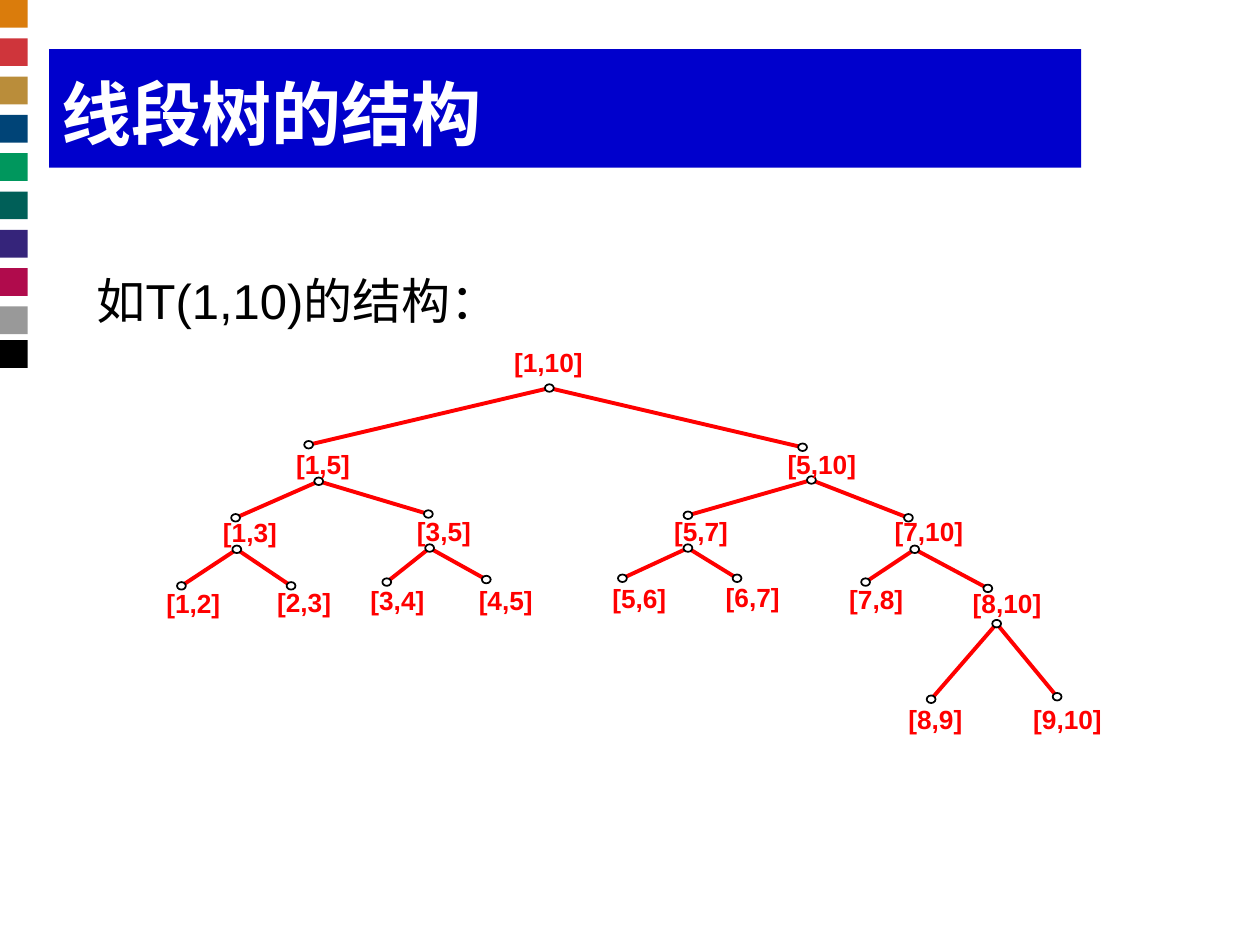
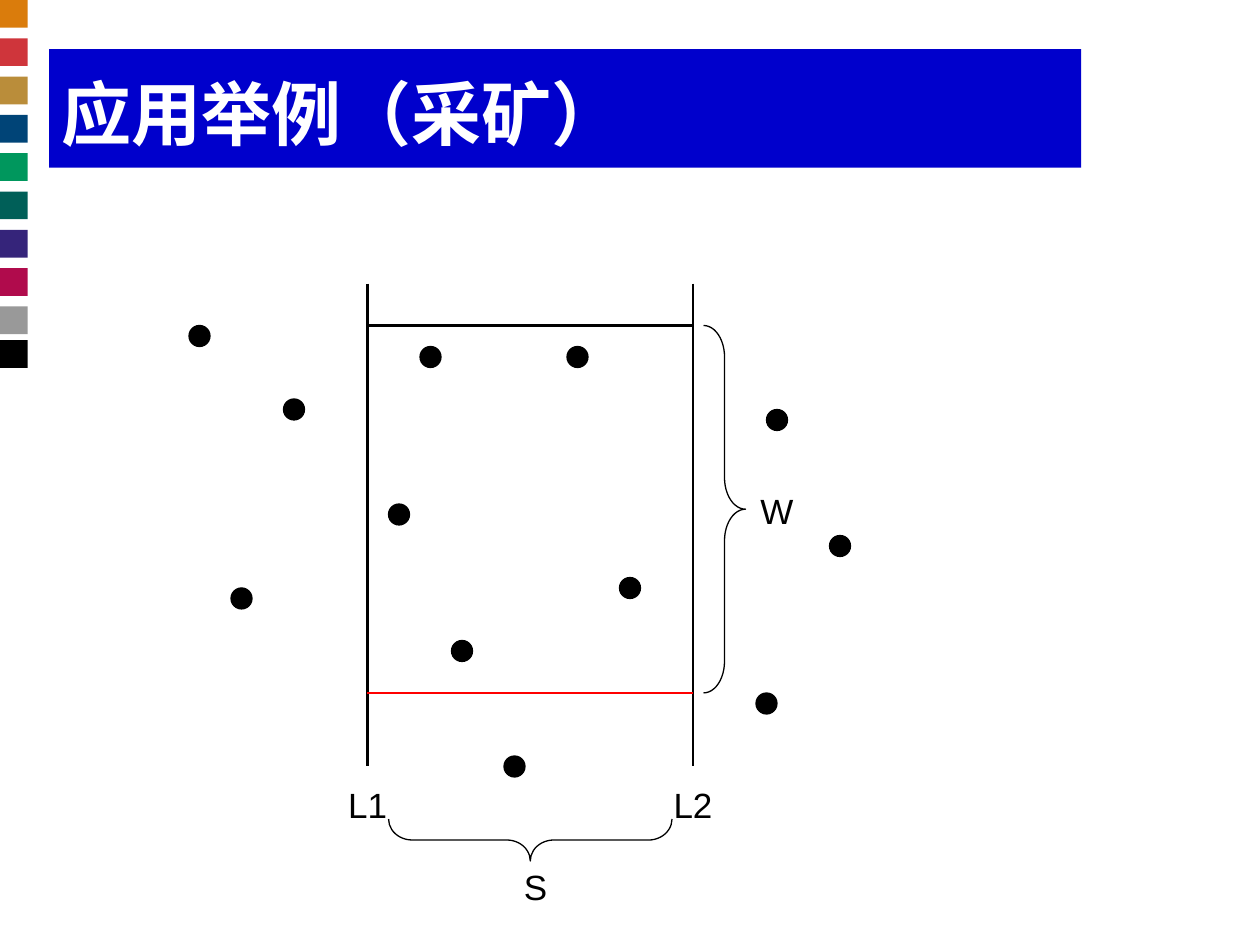
import pptx
import pptx.util
import pptx.dml.color
import pptx.enum.shapes
import pptx.enum.text
import pptx.oxml

COLOURS = {"band": "0000CC", "paper": "FFFFFF", "ink": "000000", "red": "FF0000"}
STRIPES = ["DA7C0C", "CF353B", "BA8D3A", "004477", "00975D",
           "005F58", "35247A", "B00B4C", "999999", "000000"]
STRIPE_SIZE, STRIPE_PITCH, LAST_STRIPE = 0.22, 0.304, 2.7
FONT = "Arial"
TITLE_BAND = (0.39, 0.39, 8.19, 0.94)

TREE_TITLE = "线段树的结构"
TREE_INTRO = "如T(1,10)的结构："
# interval: label corner, upper dot centre, lower dot centre
INTERVALS = {
    (1, 10): ((4.08, 2.75), None, (4.36, 3.08)),
    (1, 5): ((2.35, 3.56), (2.45, 3.53), (2.53, 3.82)),
    (5, 10): ((6.25, 3.56), (6.37, 3.55), (6.44, 3.81)),
    (1, 3): ((1.77, 4.1), (1.87, 4.11), (1.88, 4.36)),
    (3, 5): ((3.31, 4.09), (3.4, 4.08), (3.41, 4.35)),
    (5, 7): ((5.35, 4.09), (5.46, 4.09), (5.46, 4.35)),
    (7, 10): ((7.1, 4.09), (7.21, 4.11), (7.26, 4.36)),
    (1, 2): ((1.32, 4.66), (1.44, 4.65), None),
    (2, 3): ((2.2, 4.65), (2.31, 4.65), None),
    (3, 4): ((2.94, 4.64), (3.07, 4.62), None),
    (4, 5): ((3.8, 4.64), (3.86, 4.6), None),
    (5, 6): ((4.86, 4.62), (4.94, 4.59), None),
    (6, 7): ((5.76, 4.61), (5.85, 4.59), None),
    (7, 8): ((6.74, 4.63), (6.87, 4.62), None),
    (8, 10): ((7.72, 4.66), (7.84, 4.67), (7.91, 4.95)),
    (8, 9): ((7.21, 5.58), (7.39, 5.55), None),
    (9, 10): ((8.2, 5.58), (8.39, 5.53), None),
}
NODE_DOT = (0.07, 0.06)

MINE_TITLE = "应用举例（采矿）"
CELL = 1 / 12
L1, L2, TOP, BOTTOM = 35, 66, 31, 66
BORDERS = [(L1, 27, L1, 73, "ink"), (L2, 27, L2, 73, "ink"),
           (L1, BOTTOM, L2, BOTTOM, "red"), (L1, TOP, L2, TOP, "ink")]
MINES = [(22, 56), (27, 38), (40, 33), (43, 61), (59, 55), (18, 31),
         (37, 48), (54, 33), (72, 66), (73, 39), (79, 51), (48, 72)]
MINE_SIZE = 2
MEASURES = [("L1", 31, 74), ("L2", 62, 74), ("S", 47, 81.8), ("W", 70, 46)]
BRACES = [((67, TOP, 4, BOTTOM - TOP), 0, 0.75), ((48.5, 66.5, 4, 27), 90, 0.56)]

SHAPES = pptx.enum.shapes.MSO_SHAPE
ALIGN = pptx.enum.text.PP_ALIGN
ANCHOR = pptx.enum.text.MSO_ANCHOR
AUTO_SIZE = pptx.enum.text.MSO_AUTO_SIZE


def inches(*lengths):
    return [pptx.util.Inches(length) for length in lengths]


def cells(*counts):
    return [count * CELL for count in counts]


def colour(name):
    return pptx.dml.color.RGBColor.from_string(COLOURS.get(name, name))


def write(frame, text, size, tint, bold=False, align=ALIGN.LEFT, insets=(0.1, 0.05)):
    frame.margin_left = frame.margin_right = pptx.util.Inches(insets[0])
    frame.margin_top = frame.margin_bottom = pptx.util.Inches(insets[1])
    paragraph = frame.paragraphs[0]
    paragraph.alignment = align
    run = paragraph.add_run()
    run.text = text
    run.font.name = FONT
    run.font.size = pptx.util.Pt(size)
    run.font.bold = bold
    run.font.color.rgb = colour(tint)


def add_label(slide, at, text, size, tint="ink", wrap=True, **style):
    frame = slide.shapes.add_textbox(*inches(*at)).text_frame
    frame.word_wrap = wrap
    frame.auto_size = AUTO_SIZE.SHAPE_TO_FIT_TEXT
    write(frame, text, size, tint, **style)


def add_figure(slide, kind, at, fill=None, line=None, width=0.75):
    figure = slide.shapes.add_shape(kind, *inches(*at))
    figure.shadow.inherit = False
    if fill:
        figure.fill.solid()
        figure.fill.fore_color.rgb = colour(fill)
    else:
        figure.fill.background()
    if line:
        figure.line.color.rgb = colour(line)
        figure.line.width = pptx.util.Pt(width)
    else:
        figure.line.fill.background()
    return figure


def add_line(slide, start, end, tint, width):
    line = slide.shapes.add_connector(
        pptx.enum.shapes.MSO_CONNECTOR.STRAIGHT, *inches(*start, *end))
    line.line.color.rgb = colour(tint)
    line.line.width = pptx.util.Pt(width)
    line.element.spPr.append(pptx.oxml.parse_xml(
        '<a:effectLst xmlns:a="http://schemas.openxmlformats.org/drawingml/2006/main"/>'))


def add_slide(deck, heading):
    slide = deck.slides.add_slide(deck.slide_layouts.get_by_name("Title Only"))
    title = slide.shapes.title
    title.left, title.top, title.width, title.height = inches(*TITLE_BAND)
    title.fill.solid()
    title.fill.fore_color.rgb = colour("band")
    title.text_frame.auto_size = AUTO_SIZE.NONE
    title.text_frame.vertical_anchor = ANCHOR.BOTTOM
    write(title.text_frame, heading, 40, "paper", bold=True, insets=(0.1, 0.1))
    return slide


def add_stripes_to_master(deck, slide):
    master_tree = deck.slide_master.element.cSld.spTree
    for row, stripe in enumerate(STRIPES):
        top = min(row * STRIPE_PITCH, LAST_STRIPE)
        square = add_figure(slide, SHAPES.RECTANGLE,
                            (0, top, STRIPE_SIZE, STRIPE_SIZE), stripe)
        master_tree.append(square.element)


def children(interval):
    low, high = interval
    middle = (low + high) // 2
    return [(low, middle), (middle, high)] if high - low > 1 else []


def draw_tree(slide):
    add_label(slide, (0.67, 2.1, 8.83, 0.57), TREE_INTRO, 28)
    for interval, (_, _, lower) in INTERVALS.items():
        for child in children(interval):
            add_line(slide, lower, INTERVALS[child][1], "red", 2.25)
    for _, *dots in INTERVALS.values():
        for x, y in filter(None, dots):
            width, height = NODE_DOT
            add_figure(slide, SHAPES.OVAL, (x - width / 2, y - height / 2, width, height),
                       "paper", "ink", 1)
    for (low, high), (corner, _, _) in INTERVALS.items():
        text = f"[{low},{high}]"
        add_label(slide, (*corner, 0.11 * len(text) - 0.11, 0.25), text, 15, "red",
                  wrap=False, bold=True, insets=(0, 0))


def draw_mine(slide):
    for x1, y1, x2, y2, tint in BORDERS:
        add_line(slide, cells(x1, y1), cells(x2, y2), tint, 1.5)
    for column, row in MINES:
        add_figure(slide, SHAPES.OVAL, cells(column, row, MINE_SIZE, MINE_SIZE),
                   "ink", "ink")
    for at, turn, curve in BRACES:
        brace = add_figure(slide, SHAPES.RIGHT_BRACE, cells(*at), line="ink")
        brace.adjustments[0] = curve
        brace.rotation = turn
    for text, column, row in MEASURES:
        add_label(slide, (*cells(column, row, 8), 0.44), text, 20, align=ALIGN.CENTER)


def main():
    deck = pptx.Presentation()
    deck.slide_width, deck.slide_height = inches(10, 7.5)
    tree = add_slide(deck, TREE_TITLE)
    add_stripes_to_master(deck, tree)
    draw_tree(tree)
    draw_mine(add_slide(deck, MINE_TITLE))
    deck.save("out.pptx")


if __name__ == "__main__":
    main()
